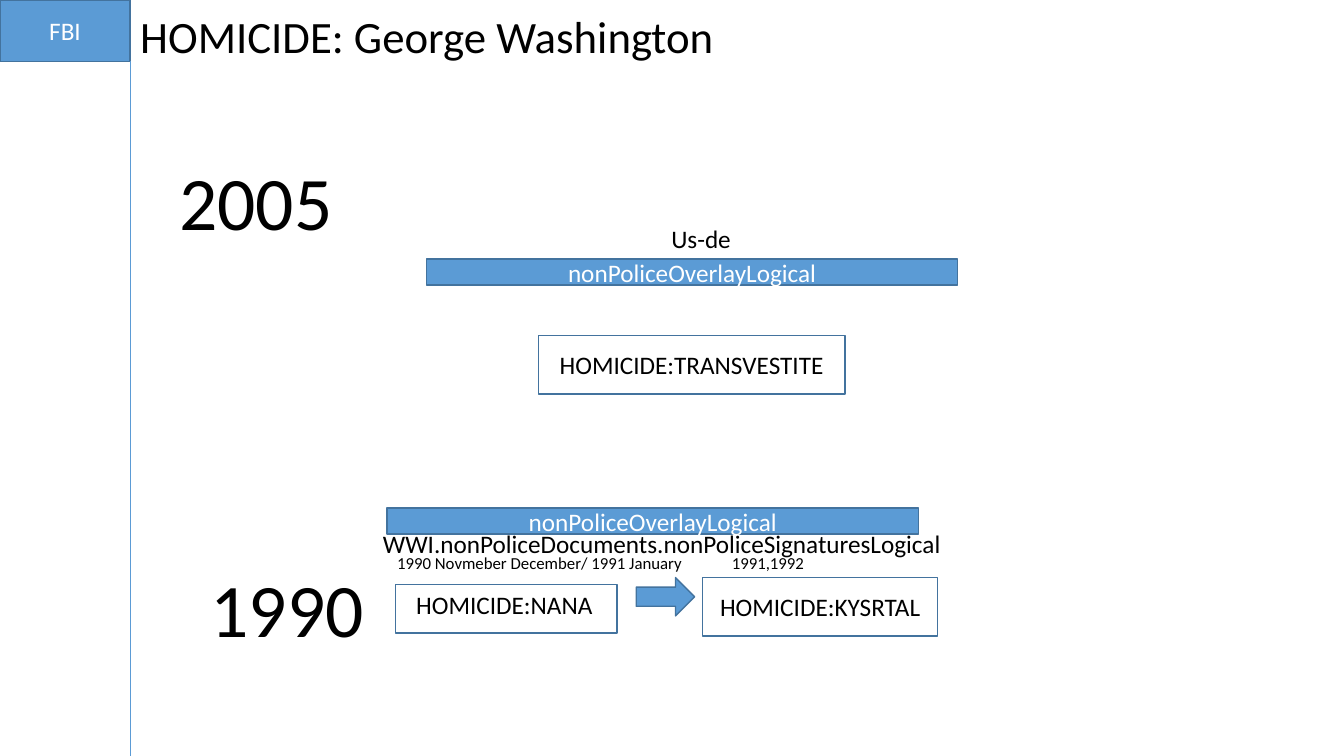
from dataclasses import dataclass

from pptx import Presentation
from pptx import util as u
from pptx.dml.color import RGBColor
from pptx.enum import shapes, text
from pptx.oxml.ns import qn

PX = 9144  # EMU per px, 100 px to the inch
FONT = "Calibri"
COLORS = {"blue": "5B9BD5", "edge": "43739E", "black": "000000", "white": "FFFFFF"}
RECT = shapes.MSO_SHAPE.RECTANGLE
ARROW = shapes.MSO_SHAPE.RIGHT_ARROW


@dataclass
class Box:
    left: int
    top: int
    width: int
    height: int
    label: str = ""
    filled: bool = False
    kind: shapes.MSO_SHAPE = RECT


@dataclass
class Label:
    left: int
    top: int
    width: int
    height: int
    label: str
    size: int = 18
    wrap: bool = False


def px(n: int) -> u.Emu:
    return u.Emu(n * PX)


def rgb(name: str) -> RGBColor:
    return RGBColor.from_string(COLORS[name])


def write(tf, label: str, size: int, color: str, align, anchor, wrap: bool) -> None:
    tf.word_wrap = wrap
    tf.auto_size = text.MSO_AUTO_SIZE.NONE
    tf.vertical_anchor = anchor
    p = tf.paragraphs[0]
    p.text = label
    p.alignment = align
    p.font.name = FONT
    p.font.size = u.Pt(size)
    p.font.color.rgb = rgb(color)


def write_label(tf, item: Label) -> None:
    write(tf, item.label, item.size, "black", text.PP_ALIGN.LEFT,
          text.MSO_ANCHOR.TOP, item.wrap)


def place(item: Box | Label) -> tuple:
    return px(item.left), px(item.top), px(item.width), px(item.height)


def draw_box(s, box: Box) -> None:
    sp = s.shapes.add_shape(box.kind, *place(box))
    sp.shadow.inherit = False
    if box.filled:
        sp.fill.solid()
        sp.fill.fore_color.rgb = rgb("blue")
    else:
        sp.fill.background()
    sp.line.color.rgb = rgb("edge")
    sp.line.width = u.Pt(1)
    if box.label:
        write(sp.text_frame, box.label, 18, "white" if box.filled else "black",
              text.PP_ALIGN.CENTER, text.MSO_ANCHOR.MIDDLE, True)


def draw_label(s, item: Label) -> None:
    sp = s.shapes.add_textbox(*place(item))
    write_label(sp.text_frame, item)


def draw_title(s, item: Label) -> None:
    sp = s.shapes.title
    sp.left, sp.top, sp.width, sp.height = place(item)
    write_label(sp.text_frame, item)


def draw_rule(s, x: int, top: int, bottom: int) -> None:
    line = s.shapes.add_connector(shapes.MSO_CONNECTOR.STRAIGHT,
                                  px(x), px(top), px(x), px(bottom))
    line.line.color.rgb = rgb("blue")
    line.line.width = u.Pt(0.5)
    sp_pr = line._element.spPr
    sp_pr.append(sp_pr.makeelement(qn("a:effectLst"), {}))


TITLE = Label(129, 4, 595, 64, "HOMICIDE: George Washington", 32)
BADGE = Box(0, 0, 129, 61, "FBI", True)
OVERLAY = "nonPoliceOverlayLogical"

# Events of 2005
YEAR_2005 = [
    Box(534, 333, 304, 58, "HOMICIDE:TRANSVESTITE"),
    Box(423, 257, 527, 26, OVERLAY, True),
    Label(168, 149, 372, 101, "2005", 54, True),
    Label(656, 217, 80, 40, "Us-de"),
]

# Events of 1990
YEAR_1990 = [
    Label(403, 580, 197, 40, "HOMICIDE:NANA"),
    Box(392, 580, 220, 48),
    Label(384, 543, 312, 30, "1990 Novmeber December/ 1991 January", 12),
    Box(697, 573, 233, 58, "HOMICIDE:KYSRTAL"),
    Label(716, 543, 93, 30, "1991,1992", 12),
    Box(631, 573, 58, 38, filled=True, kind=ARROW),
    Label(370, 519, 580, 40, "WWI.nonPoliceDocuments.nonPoliceSignaturesLogical"),
    Box(384, 504, 527, 26, OVERLAY, True),
    Label(199, 553, 174, 101, "1990", 54),
]


def main() -> None:
    prs = Presentation()
    prs.slide_width, prs.slide_height = px(1333), px(750)
    s = prs.slides.add_slide(prs.slide_layouts.get_by_name("Title Only"))

    # Heading and side rule
    draw_title(s, TITLE)
    draw_box(s, BADGE)
    draw_rule(s, BADGE.width, BADGE.height, 750)

    # Timeline
    for item in YEAR_2005 + YEAR_1990:
        if isinstance(item, Box):
            draw_box(s, item)
        else:
            draw_label(s, item)

    prs.save("out.pptx")


if __name__ == "__main__":
    main()
